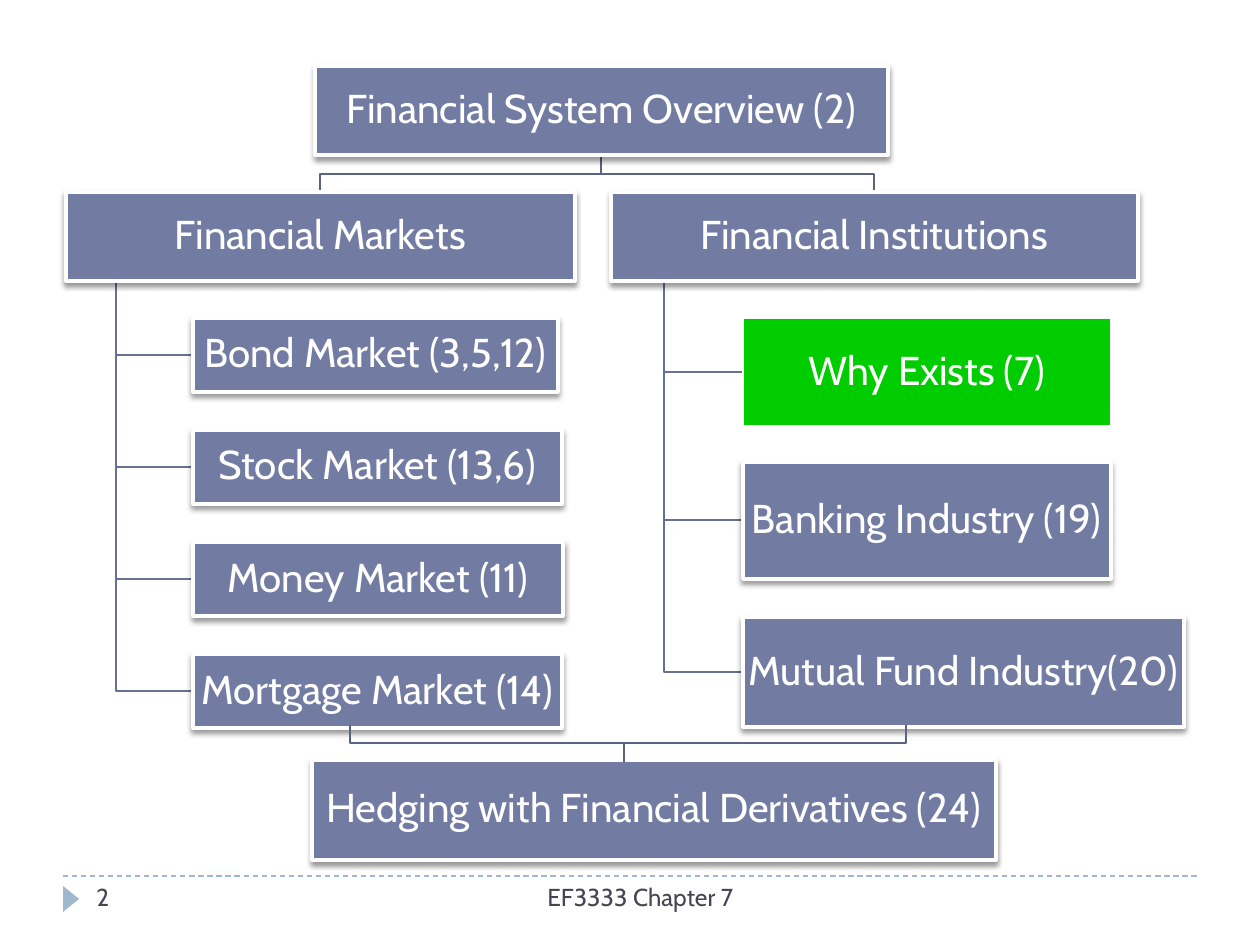
import pptx
import pptx.util
import pptx.dml.color
import pptx.enum.dml
import pptx.enum.shapes
import pptx.enum.text
import pptx.oxml
import pptx.oxml.ns

PX = 914400 // 126
FONT = "Cabin"
COLORS = {
    "box": "727CA3",
    "active": "00CC00",
    "white": "FFFFFF",
    "trunk": "5B6383",
    "branch": "677194",
    "footer": "464653",
    "accent": "9FB8CD",
}
NS = pptx.oxml.ns.nsdecls("a")
NO_EFFECTS = f"<a:effectLst {NS}/>"
SHADOW = (
    f'<a:outerShdw {NS} blurRad="38100" dist="25400" dir="5400000" algn="ctr" rotWithShape="0">'
    '<a:srgbClr val="000000"><a:alpha val="40000"/></a:srgbClr></a:outerShdw>'
)
ALIGN = pptx.enum.text.PP_ALIGN
ANCHOR = pptx.enum.text.MSO_ANCHOR
SHAPE = pptx.enum.shapes.MSO_SHAPE


def rgb(name):
    return pptx.dml.color.RGBColor.from_string(COLORS[name])


def emu(*lengths):
    return [round(v * PX) for v in lengths]


def set_line(s, color, width):
    s.line.color.rgb = rgb(color)
    s.line.width = pptx.util.Pt(width)


def write(s, text, size=23, color="white", align=ALIGN.CENTER, anchor=ANCHOR.MIDDLE,
          inset=None, spacing=None):
    tf = s.text_frame
    tf.word_wrap = True
    tf.vertical_anchor = anchor
    if inset is not None:
        tf.margin_left = tf.margin_right = tf.margin_top = tf.margin_bottom = emu(inset)[0]
    p = tf.paragraphs[0]
    p.alignment = align
    p.line_spacing = spacing
    r = p.add_run()
    r.text = text
    r.font.size = pptx.util.Pt(size)
    r.font.name = FONT
    r.font.color.rgb = rgb(color)


def add_box(slide, text, x, y, w, h, active=False):
    s = slide.shapes.add_shape(SHAPE.RECTANGLE, *emu(x, y, w, h))
    s.shadow.inherit = False
    s.fill.solid()
    s.fill.fore_color.rgb = rgb("active" if active else "box")
    set_line(s, "white", 1.5 if active else 2)
    if not active:
        effects = s._element.spPr.find(pptx.oxml.ns.qn("a:effectLst"))
        effects.append(pptx.oxml.parse_xml(SHADOW))
    write(s, text, inset=3, spacing=0.9)


def add_elbow(slide, points, color):
    builder = slide.shapes.build_freeform(*points[0], scale=PX)
    builder.add_line_segments(points[1:], close=False)
    s = builder.convert_to_shape()
    s.shadow.inherit = False
    s.fill.background()
    set_line(s, color, 1.5)


def add_fork(slide, stem_x, stem_y, bar_y, ends, end_y):
    for x in ends:
        points = [(stem_x, stem_y), (stem_x, bar_y), (x, bar_y), (x, end_y)]
        add_elbow(slide, points, "trunk")


def add_branch(slide, spine_x, top, boxes):
    for text, x, y, w, h, *active in reversed(boxes):
        middle = y + h // 2
        add_elbow(slide, [(spine_x, top), (spine_x, middle), (x, middle)], "branch")


def add_label(slide, text, x, y, w, h, align):
    s = slide.shapes.add_textbox(*emu(x, y, w, h))
    write(s, text, size=14, color="footer", align=align, anchor=ANCHOR.TOP)


def add_footer(slide):
    x1, x2, y = emu(63, 1197, 876)
    rule = slide.shapes.add_connector(pptx.enum.shapes.MSO_CONNECTOR.STRAIGHT, x1, y, x2, y)
    set_line(rule, "accent", 0.75)
    rule.line.dash_style = pptx.enum.dml.MSO_LINE.DASH
    rule._element.spPr.append(pptx.oxml.parse_xml(NO_EFFECTS))
    s = slide.shapes.add_shape(SHAPE.ISOSCELES_TRIANGLE, *emu(58, 891, 26, 16))
    s.rotation = 90
    s.shadow.inherit = False
    s.fill.solid()
    s.fill.fore_color.rgb = rgb("accent")
    s.line.fill.background()
    add_label(slide, "EF3333 Chapter 7", 399, 876, 483, 50, ALIGN.CENTER)
    add_label(slide, "2", 84, 876, 273, 50, ALIGN.LEFT)


def main():
    prs = pptx.Presentation()
    prs.slide_width = pptx.util.Inches(10)
    prs.slide_height = pptx.util.Inches(7.5)
    slide = prs.slides.add_slide(prs.slide_layouts[6])
    add_footer(slide)

    market_names = [
        ("Bond Market (3,5,12)", 365),
        ("Stock Market (13,6)", 369),
        ("Money Market (11)", 370),
        ("Mortgage Market (14)", 369),
    ]
    markets = [(text, 193, 318 + 112 * i, w, 74) for i, (text, w) in enumerate(market_names)]
    institutions = [
        ("Why Exists (7)", 743, 318, 368, 108, True),
        ("Banking Industry (19)", 743, 462, 368, 117),
        ("Mutual Fund Industry(20)", 743, 617, 441, 110),
    ]
    headings = [
        ("Financial System Overview (2)", 315, 66, 573, 89),
        ("Financial Markets", 66, 192, 509, 89),
        ("Financial Institutions", 611, 192, 527, 89),
        ("Hedging with Financial Derivatives (24)", 312, 760, 684, 100),
    ]

    add_branch(slide, 664, 281, institutions)
    add_branch(slide, 116, 281, markets)
    add_fork(slide, 601, 155, 174, (320, 874), 192)
    for box in headings + markets + institutions:
        add_box(slide, *box)
    add_fork(slide, 624, 762, 743, (350, 906), 725)
    prs.save("out.pptx")


if __name__ == "__main__":
    main()
